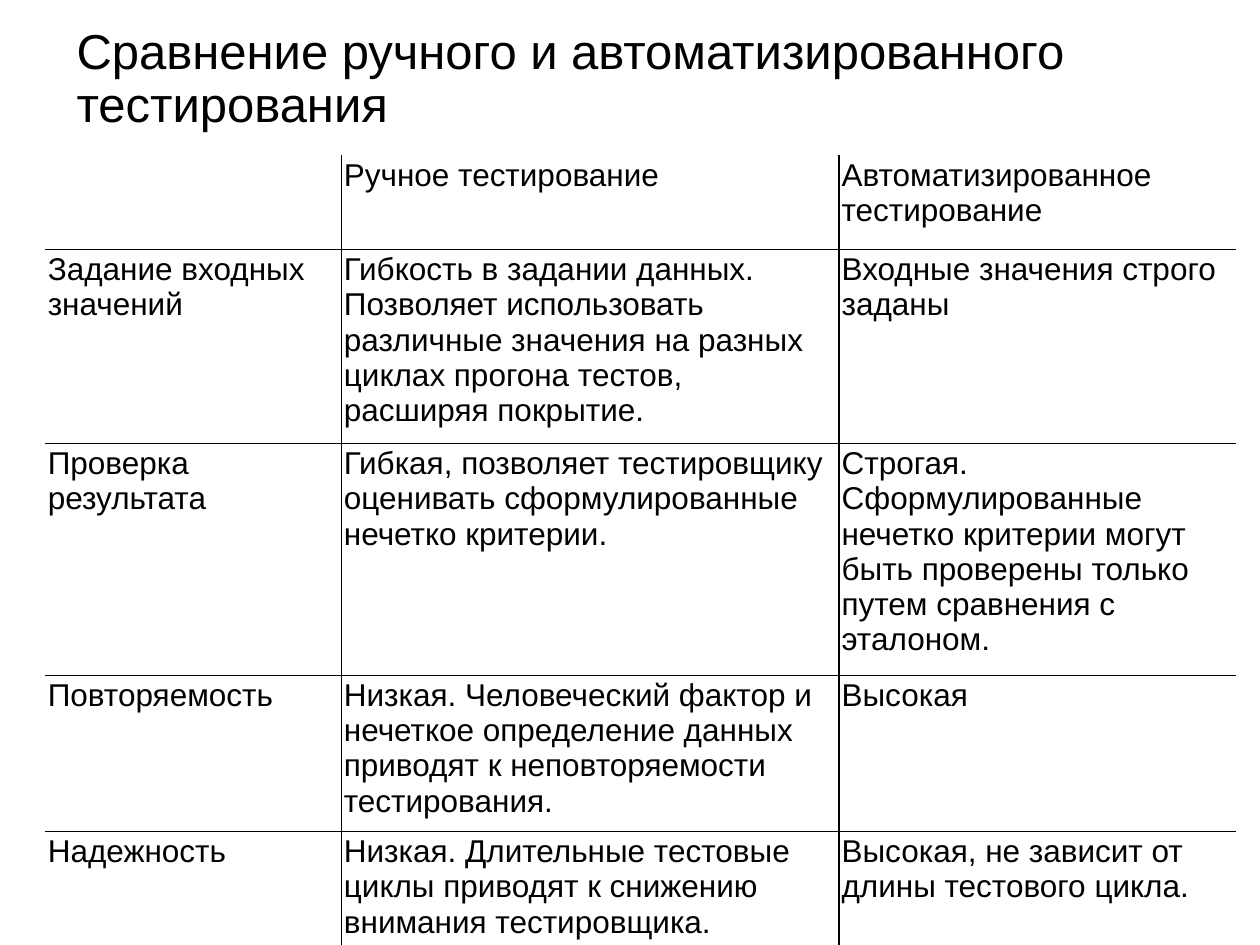
from dataclasses import dataclass

from lxml.etree import SubElement
from pptx import Presentation
from pptx.dml.color import RGBColor
from pptx.enum.text import MSO_ANCHOR
from pptx.oxml.ns import qn
from pptx.util import Inches, Pt

FONT = "Arial"
BLACK = "000000"
CELL_INSET = 0.02
BORDER_WIDTH = 1
COLUMN_WIDTHS = (2.35, 3.95, 3.15)
TABLE_HEIGHT = 5.98


@dataclass(frozen=True)
class Criterion:
    """One table row: its name, both verdicts and its height in inches."""
    name: str
    manual: str
    automated: str
    height: float


CRITERIA = (
    Criterion("", "Ручное тестирование", "Автоматизированное тестирование", 0.75),
    Criterion(
        "Задание входных значений",
        "Гибкость в задании данных. Позволяет использовать различные значения "
        "на разных циклах прогона тестов, расширяя покрытие.",
        "Входные значения строго заданы", 1.44),
    Criterion(
        "Проверка результата",
        "Гибкая, позволяет тестировщику оценивать сформулированные нечетко критерии.",
        "Строгая. Сформулированные нечетко критерии могут быть проверены только "
        "путем сравнения с эталоном.", 1.44),
    Criterion(
        "Повторяемость",
        "Низкая. Человеческий фактор и нечеткое определение данных приводят "
        "к неповторяемости тестирования.",
        "Высокая", 1.1),
    Criterion(
        "Надежность",
        "Низкая. Длительные тестовые циклы приводят к снижению внимания тестировщика.",
        "Высокая, не зависит от длины тестового цикла.", 1.1),
)


def colour(value: str) -> RGBColor:
    """Turn a hex string into a colour."""
    return RGBColor.from_string(value)


def write(frame, text: str, size: float) -> None:
    """Put text into a frame and format it."""
    frame.text = text
    for para in frame.paragraphs:
        for span in para.runs:
            span.font.name = FONT
            span.font.size = Pt(size)
            span.font.color.rgb = colour(BLACK)


def set_borders(cell, inner_sides: dict[str, bool]) -> None:
    """Draw a line on each inner side of a cell and none on outer sides."""
    properties = cell._tc.get_or_add_tcPr()
    for index, (side, inner) in enumerate(inner_sides.items()):
        line = SubElement(properties, qn(f"a:ln{side}"), w=str(Pt(BORDER_WIDTH)))
        if inner:
            fill = SubElement(line, qn("a:solidFill"))
            SubElement(fill, qn("a:srgbClr"), val=BLACK)
        else:
            SubElement(line, qn("a:noFill"))
        properties.insert(index, line)


def add_title(page, text: str) -> None:
    """Add the slide heading."""
    box = page.shapes.add_textbox(Inches(0.51), Inches(0.01), Inches(9), Inches(1.25))
    write(box.text_frame, text, 28)
    box.text_frame.word_wrap = True
    box.text_frame.vertical_anchor = MSO_ANCHOR.MIDDLE
    box.text_frame.paragraphs[0].line_spacing = 0.9


def add_comparison(page, criteria: tuple[Criterion, ...]) -> None:
    """Add the comparison table with inner rules only."""
    last_row, last_column = len(criteria) - 1, len(COLUMN_WIDTHS) - 1
    frame = page.shapes.add_table(
        len(criteria), len(COLUMN_WIDTHS), Inches(0.36), Inches(1.23),
        Inches(sum(COLUMN_WIDTHS)), Inches(TABLE_HEIGHT))
    table = frame.table
    table.first_row = table.horz_banding = False
    for column, width in zip(table.columns, COLUMN_WIDTHS):
        column.width = Inches(width)
    for row, criterion in enumerate(criteria):
        table.rows[row].height = Inches(criterion.height)
        texts = (criterion.name, criterion.manual, criterion.automated)
        for column, text in enumerate(texts):
            cell = table.cell(row, column)
            cell.margin_left = cell.margin_top = Inches(CELL_INSET)
            cell.margin_bottom = Inches(CELL_INSET)
            cell.margin_right = Inches(CELL_INSET + 0.02)
            cell.fill.background()
            write(cell.text_frame, text, 18)
            set_borders(cell, {"L": column > 0, "R": column < last_column,
                               "T": row > 0, "B": row < last_row})
    frame.height = Inches(TABLE_HEIGHT)


def main() -> None:
    """Build and save the deck."""
    deck = Presentation()
    deck.slide_width, deck.slide_height = Inches(10), Inches(7.5)
    page = deck.slides.add_slide(deck.slide_layouts[6])
    add_title(page, "Сравнение ручного и автоматизированного тестирования")
    add_comparison(page, CRITERIA)
    deck.save("out.pptx")


main()
